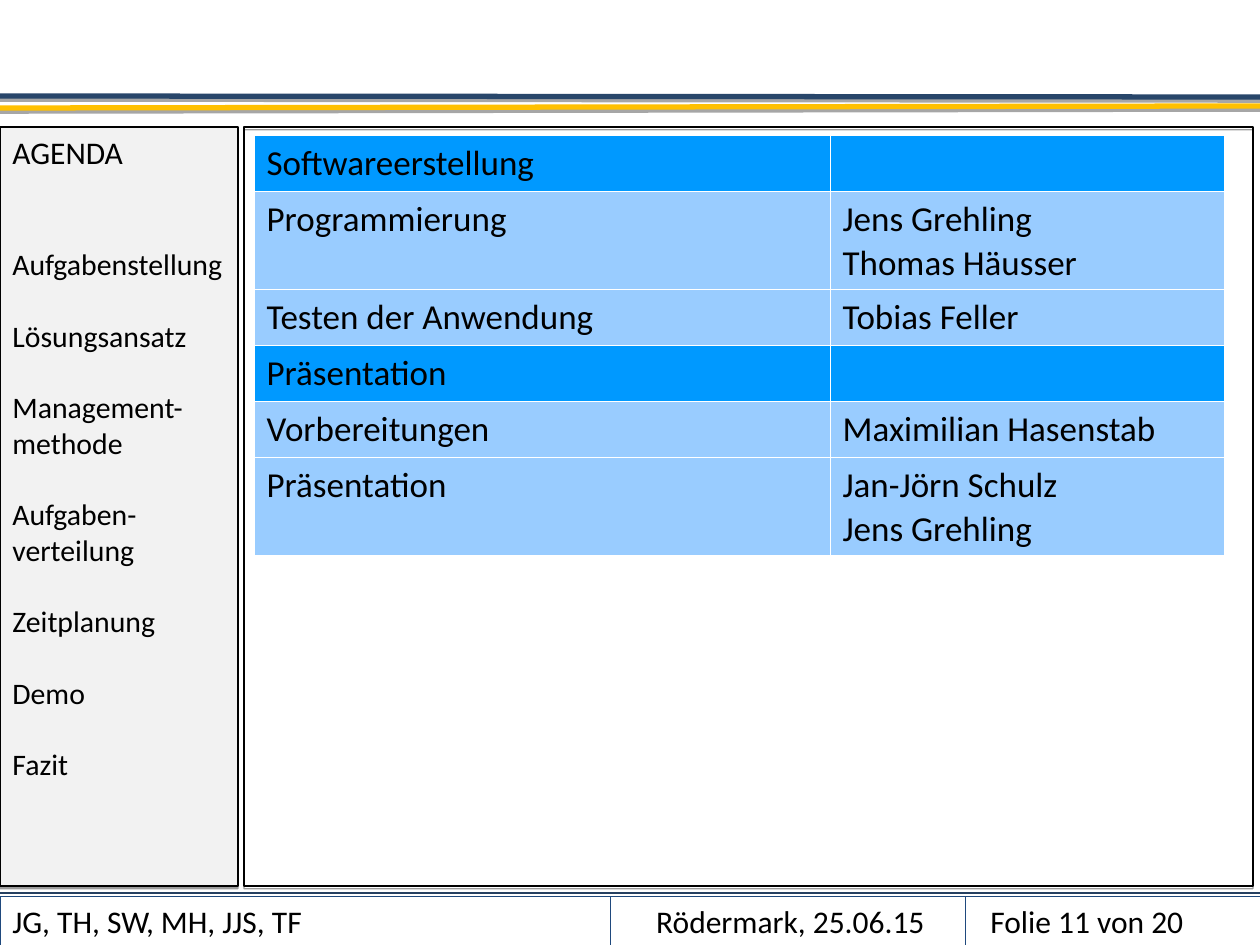
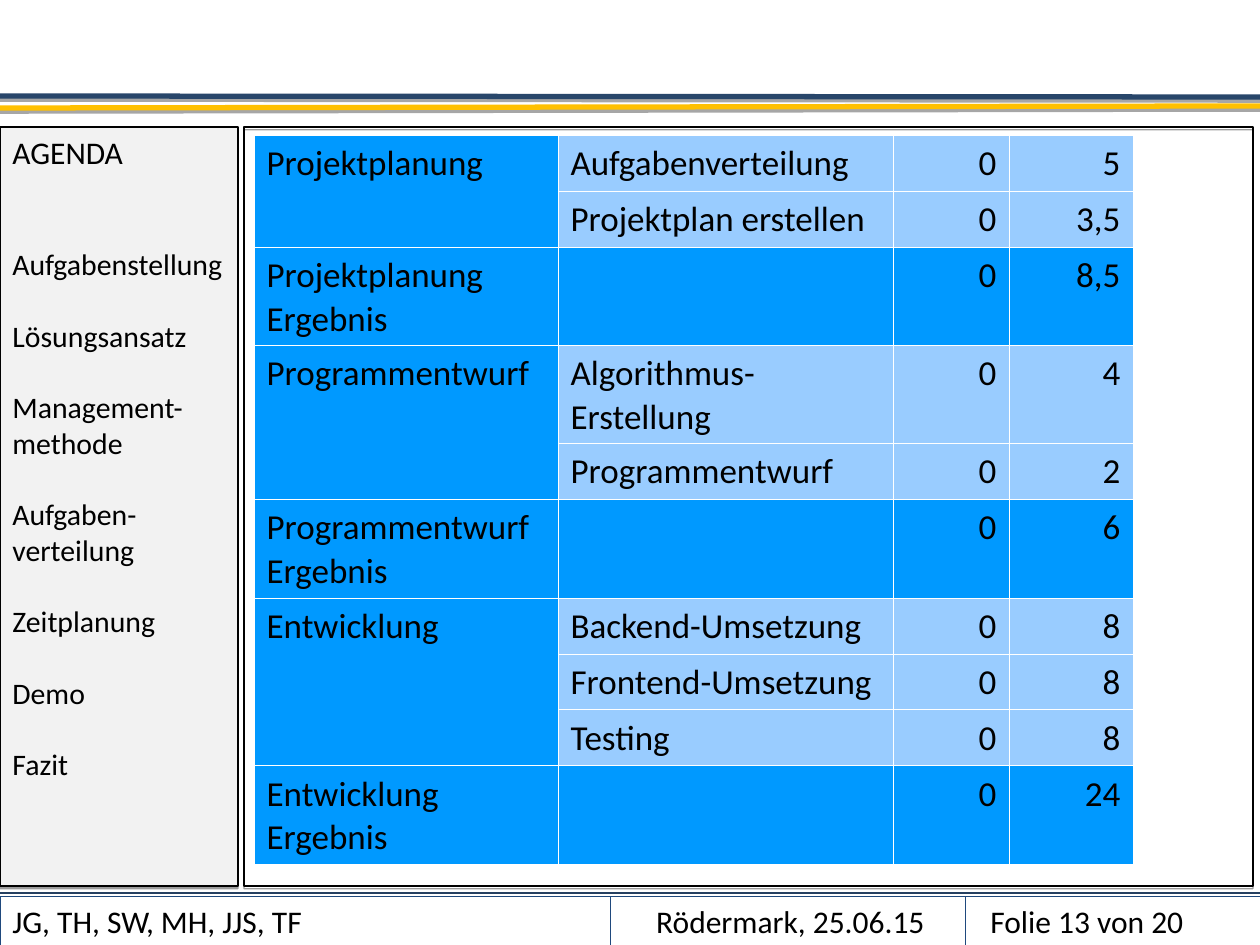
from lxml.etree import SubElement
from pptx import Presentation
from pptx.dml.color import RGBColor
from pptx.enum.shapes import MSO_CONNECTOR, MSO_SHAPE
from pptx.enum.text import MSO_ANCHOR, PP_ALIGN
from pptx.oxml.ns import qn
from pptx.util import Emu, Pt

PX_PER_INCH = 126
FONT = "Calibri"
BLACK = RGBColor(0x00, 0x00, 0x00)
WHITE = RGBColor(0xFF, 0xFF, 0xFF)
NAVY = RGBColor(0x28, 0x46, 0x6A)
GOLD = RGBColor(0xFF, 0xC0, 0x00)
FOOTER_RULE = RGBColor(0x25, 0x40, 0x61)
FOOTER_FRAME = RGBColor(0x1F, 0x49, 0x7D)
PANEL_GREY = RGBColor(0xF2, 0xF2, 0xF2)
STRONG_BLUE = RGBColor(0x00, 0x99, 0xFF)
LIGHT_BLUE = RGBColor(0x99, 0xCC, 0xFF)

PANEL_TOP, PANEL_HEIGHT = 127, 759
FOOTER_TOP, FOOTER_HEIGHT = 896, 49
FOOTER_EDGES = (0, 610, 965, 1260)
TABLE_LEFT, TABLE_TOP = 254, 135
ROW_HEIGHT, TALL_ROW_HEIGHT = 56, 98

AGENDA = ("Aufgabenstellung", "Lösungsansatz", "Management-methode",
          "Aufgaben-verteilung", "Zeitplanung", "Demo", "Fazit")

TASK_ROWS = [
    ("Softwareerstellung", ""),
    ("Programmierung", "Jens Grehling\nThomas Häusser"),
    ("Testen der Anwendung", "Tobias Feller"),
    ("Präsentation", ""),
    ("Vorbereitungen", "Maximilian Hasenstab"),
    ("Präsentation", "Jan-Jörn Schulz\nJens Grehling"),
]

# None continues the cell above.
TIME_ROWS = [
    ("Projektplanung", "Aufgabenverteilung", "0", "5"),
    (None, "Projektplan erstellen", "0", "3,5"),
    ("Projektplanung Ergebnis", "", "0", "8,5"),
    ("Programmentwurf", "Algorithmus-Erstellung", "0", "4"),
    (None, "Programmentwurf", "0", "2"),
    ("Programmentwurf Ergebnis", "", "0", "6"),
    ("Entwicklung", "Backend-Umsetzung", "0", "8"),
    (None, "Frontend-Umsetzung", "0", "8"),
    (None, "Testing", "0", "8"),
    ("Entwicklung Ergebnis", "", "0", "24"),
]


def px(length):
    return Emu(round(length * 914400 / PX_PER_INCH))


def set_shadow(item, opacity=None, distance=0):
    """Drop a black shadow straight down, or none if opacity is None."""
    effects = SubElement(item._element.spPr, qn("a:effectLst"))
    if opacity is not None:
        shadow = SubElement(effects, qn("a:outerShdw"), blurRad="0",
                            dist=str(Pt(distance)), dir="5400000", rotWithShape="0")
        color = SubElement(shadow, qn("a:srgbClr"), val=str(BLACK))
        SubElement(color, qn("a:alpha"), val=str(opacity * 1000))


def format_paragraph(para, size, align=PP_ALIGN.LEFT):
    para.alignment = align
    for span in para.runs:
        span.font.name = FONT
        span.font.size = Pt(size)
        span.font.color.rgb = BLACK


def add_rule(page, start_y, end_y, color, width, opacity=None):
    rule = page.shapes.add_connector(MSO_CONNECTOR.STRAIGHT, 0, px(start_y),
                                     px(1260), px(end_y))
    rule.line.color.rgb = color
    rule.line.width = Pt(width)
    set_shadow(rule, opacity, 1.8)


def add_frame(page, left, top, width, height, color, line_width, fill=None, opacity=None):
    frame = page.shapes.add_shape(MSO_SHAPE.RECTANGLE, px(left), px(top),
                                  px(width), px(height))
    if fill is None:
        frame.fill.background()
    else:
        frame.fill.solid()
        frame.fill.fore_color.rgb = fill
    frame.line.color.rgb = color
    frame.line.width = Pt(line_width)
    set_shadow(frame, opacity, 1.6)
    return frame


def add_agenda(page):
    panel = add_frame(page, 0, PANEL_TOP, 238, PANEL_HEIGHT, BLACK, 0.75, PANEL_GREY, 38)
    frame = panel.text_frame
    frame.word_wrap = True
    frame.vertical_anchor = MSO_ANCHOR.TOP
    frame.text = "\n".join(("AGENDA",) + AGENDA)
    heading, first, *others = frame.paragraphs
    format_paragraph(heading, 18)
    for para in (first, *others):
        format_paragraph(para, 17)
        para.space_before = Pt(20.4)
    first.space_before = Pt(43)


def add_label(page, left, width, text, align=PP_ALIGN.LEFT):
    box = page.shapes.add_textbox(px(left), px(FOOTER_TOP), px(width), px(FOOTER_HEIGHT))
    box.text_frame.word_wrap = True
    box.text_frame.text = text
    format_paragraph(box.text_frame.paragraphs[0], 18, align)


def add_footer(page, number):
    add_rule(page, 893, 893, FOOTER_RULE, 0.75)
    add_label(page, 0, 493, "JG, TH, SW, MH, JJS, TF")
    add_label(page, 615, 351, "Rödermark, 25.06.15", PP_ALIGN.CENTER)
    add_label(page, 978, 277, f"Folie {number} von 20")
    for left, right in zip(FOOTER_EDGES, FOOTER_EDGES[1:]):
        add_frame(page, left, FOOTER_TOP, right - left, FOOTER_HEIGHT, FOOTER_FRAME, 0.25)


def format_cell(cell, text, fill, align):
    properties = cell._tc.get_or_add_tcPr()
    for side in ("lnL", "lnR", "lnT", "lnB"):
        border = SubElement(properties, qn(f"a:{side}"), w=str(Pt(0.06)))
        paint = SubElement(border, qn("a:solidFill"))
        SubElement(paint, qn("a:srgbClr"), val=str(WHITE))
    cell.fill.solid()
    cell.fill.fore_color.rgb = fill
    cell.text = text or ""
    for para in cell.text_frame.paragraphs:
        format_paragraph(para, 20, align)
        para.line_spacing = 1.02


def add_plan_table(page, rows, widths, tall_rows, strong_first_column=False):
    """Rows with an empty second cell are section rows in strong blue."""
    heights = [TALL_ROW_HEIGHT if index in tall_rows else ROW_HEIGHT
               for index in range(len(rows))]
    table = page.shapes.add_table(len(rows), len(widths), px(TABLE_LEFT), px(TABLE_TOP),
                                  px(sum(widths)), px(sum(heights))).table
    table.first_row = table.horz_banding = False
    for column, width in zip(table.columns, widths):
        column.width = px(width)
    group_start = 0
    for row_index, (values, height) in enumerate(zip(rows, heights)):
        table.rows[row_index].height = px(height)
        for column_index, value in enumerate(values):
            strong = not values[1] or (strong_first_column and column_index == 0)
            format_cell(table.cell(row_index, column_index), value,
                        STRONG_BLUE if strong else LIGHT_BLUE,
                        PP_ALIGN.RIGHT if column_index > 1 else PP_ALIGN.LEFT)
        if values[0] is not None:
            group_start = row_index
        elif row_index + 1 == len(rows) or rows[row_index + 1][0] is not None:
            table.cell(group_start, 0).merge(table.cell(row_index, 0))


def add_page(deck, number):
    page = deck.slides.add_slide(deck.slide_layouts[6])
    add_rule(page, 96, 97, NAVY, 3, 35)
    add_rule(page, 108, 106, GOLD, 3, 35)
    add_agenda(page)
    add_frame(page, 244, PANEL_TOP, 1009, PANEL_HEIGHT, BLACK, 0.75, opacity=38)
    add_footer(page, number)
    return page


def main():
    deck = Presentation()
    deck.slide_width, deck.slide_height = px(1260), px(945)
    add_plan_table(add_page(deck, 11), TASK_ROWS, (576, 394), {1, 5})
    add_plan_table(add_page(deck, 13), TIME_ROWS, (304, 335, 116, 124), {2, 3, 5, 9},
                   strong_first_column=True)
    deck.save("out.pptx")


if __name__ == "__main__":
    main()
